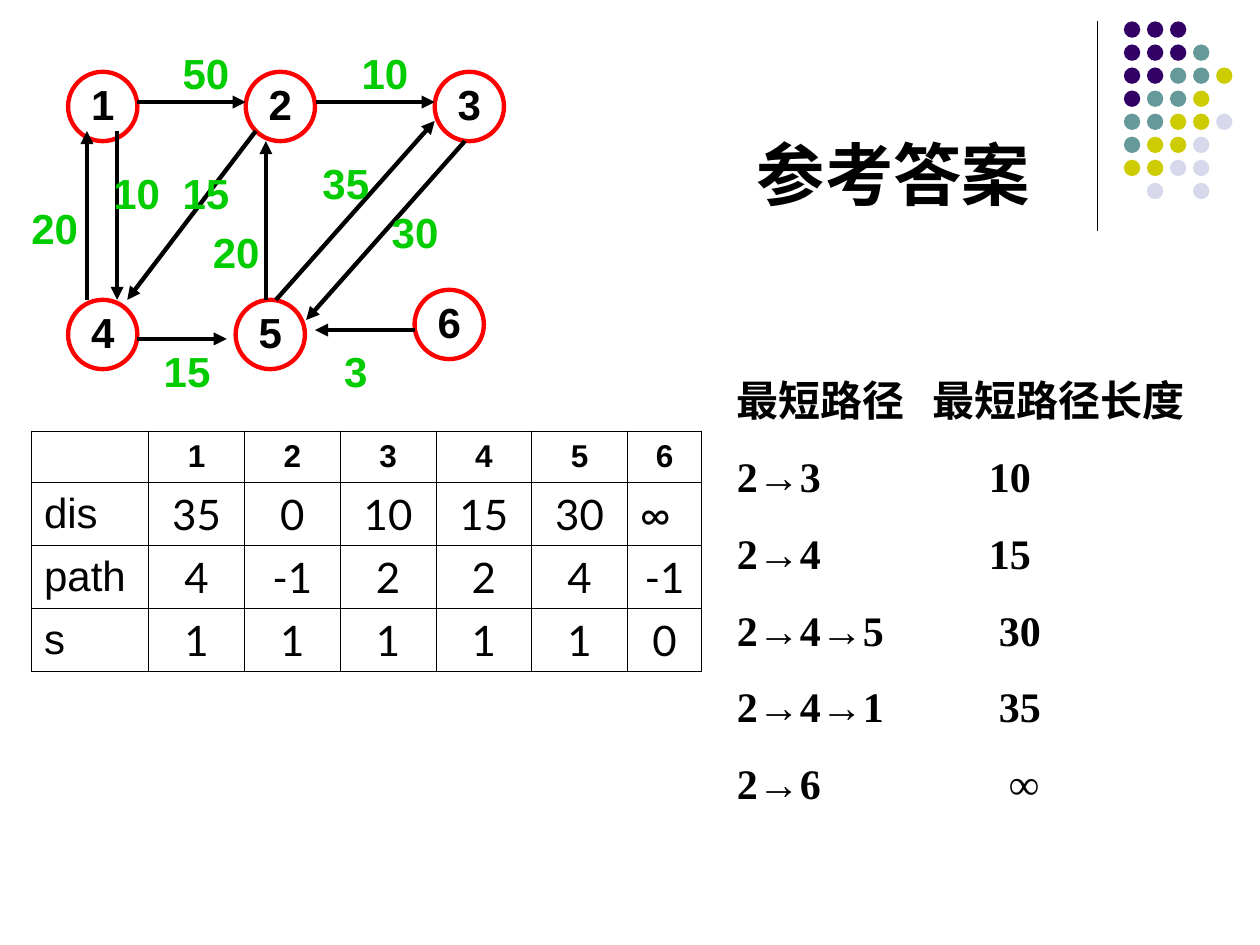
from lxml import etree
from pptx import Presentation
from pptx.dml.color import RGBColor
from pptx.enum.shapes import MSO_CONNECTOR, MSO_SHAPE
from pptx.enum.text import MSO_ANCHOR, MSO_AUTO_SIZE, PP_ALIGN
from pptx.oxml.ns import qn
from pptx.util import Inches, Pt

LEFT, CENTER = PP_ALIGN.LEFT, PP_ALIGN.CENTER
MIDDLE, BOTTOM = MSO_ANCHOR.MIDDLE, MSO_ANCHOR.BOTTOM
OVAL, STRAIGHT = MSO_SHAPE.OVAL, MSO_CONNECTOR.STRAIGHT
NO_FIT = MSO_AUTO_SIZE.NONE

COLORS = {"text": "000000", "node": "FF0000", "weight": "00CC00",
          "P": "330066", "T": "669999", "Y": "CCCC00", "L": "D8D8EC"}

DOTS = ["PPP", "PPPT", "PPTTY", "PTTY", "TTYYL", "TYYL", "YYLL", " L L"]
DOT_PITCH = 0.183

NODES = {"1": (0.54, 0.57), "2": (1.95, 0.57), "3": (3.45, 0.57),
         "4": (0.54, 2.38), "5": (1.87, 2.38), "6": (3.29, 2.3)}
NODE_SIZE = 0.55

# start x, y, end x, y, then weight with the left and top of its label
EDGES = [
    (0.93, 1.04, 0.93, 2.38, "10", 0.77, 1.28),
    (0.69, 2.38, 0.69, 1.04, "20", 0.12, 1.56),
    (1.09, 0.81, 1.95, 0.81, "50", 1.32, 0.33),
    (2.51, 0.81, 3.45, 0.81, "10", 2.74, 0.33),
    (2.03, 1.04, 1.01, 2.38, "15", 1.32, 1.28),
    (2.11, 2.38, 2.11, 1.12, "20", 1.56, 1.75),
    (1.09, 2.69, 1.8, 2.69, "15", 1.17, 2.69),
    (3.29, 2.62, 2.5, 2.62, "3", 2.51, 2.69),
    (2.19, 2.38, 3.45, 0.96, "35", 2.43, 1.2),
    (3.69, 1.12, 2.43, 2.54, "30", 2.98, 1.59),
]

TABLE = [["", "1", "2", "3", "4", "5", "6"],
         ["dis", "35", "0", "10", "15", "30", "∞"],
         ["path", "4", "-1", "2", "2", "4", "-1"],
         ["s", "1", "1", "1", "1", "1", "0"]]

# route, length, tab position of the length
ROUTES = [("最短路径", "最短路径长度", 1.55), ("2→3", "10", 2), ("2→4", "15", 2),
          ("2→4→5", "30", 2.08), ("2→4→1", "35", 2.08), ("2→6", "∞", 2.16)]


def rgb(name):
    return RGBColor.from_string(COLORS[name])


class SlideBuilder:
    font = "Arial"
    size = 24

    def __init__(self, slide):
        self.slide = slide

    def style(self, p, color="text", size=None, font=None, bold=True, align=CENTER):
        p.alignment = align
        p.font.name = font or self.font
        p.font.size = Pt(size or self.size)
        p.font.bold = bold
        p.font.color.rgb = rgb(color)

    def title(self, text, x, y, w, h):
        sp = self.slide.shapes.title
        sp.left, sp.top, sp.width, sp.height = map(Inches, (x, y, w, h))
        tf = sp.text_frame
        tf.text = text
        tf.auto_size = NO_FIT
        tf.vertical_anchor = BOTTOM
        tf.margin_left = tf.margin_right = tf.margin_top = tf.margin_bottom = 0
        self.style(tf.paragraphs[0], size=39)

    def oval(self, x, y, size):
        sp = self.slide.shapes.add_shape(
            OVAL, Inches(x), Inches(y), Inches(size), Inches(size))
        sp.shadow.inherit = False
        return sp

    def dot(self, x, y, color):
        sp = self.oval(x, y, 0.13)
        sp.fill.solid()
        sp.fill.fore_color.rgb = rgb(color)
        sp.line.fill.background()

    def node(self, text, x, y):
        sp = self.oval(x, y, NODE_SIZE)
        sp.fill.background()
        sp.line.color.rgb = rgb("node")
        sp.line.width = Pt(2.5)
        tf = sp.text_frame
        tf.margin_left = tf.margin_right = tf.margin_top = 0
        tf.margin_bottom = Inches(0.05)
        tf.vertical_anchor = MIDDLE
        tf.text = text
        self.style(tf.paragraphs[0])

    def line(self, x1, y1, x2, y2, width, arrow=False):
        cn = self.slide.shapes.add_connector(
            STRAIGHT, Inches(x1), Inches(y1), Inches(x2), Inches(y2))
        cn.line.color.rgb = rgb("text")
        cn.line.width = Pt(width)
        if arrow:
            etree.SubElement(cn.line._get_or_add_ln(), qn("a:tailEnd"), type="triangle")
        etree.SubElement(cn._element.spPr, qn("a:effectLst"))

    def textbox(self, x, y, w, h):
        tf = self.slide.shapes.add_textbox(
            Inches(x), Inches(y), Inches(w), Inches(h)).text_frame
        tf.word_wrap = True
        return tf

    def weight(self, text, x, y):
        tf = self.textbox(x, y, 0.63, 0.5)
        tf.text = text
        self.style(tf.paragraphs[0], "weight")

    def routes(self, rows, x, y, w, h):
        tf = self.textbox(x, y, w, h)
        for i, (route, length, tab) in enumerate(rows):
            p = tf.add_paragraph() if i else tf.paragraphs[0]
            p.text = f"{route}\t{length}"
            if i:
                p.space_before = Pt(15)
            tabs = etree.SubElement(p._p.get_or_add_pPr(), qn("a:tabLst"))
            etree.SubElement(tabs, qn("a:tab"), pos=str(Inches(tab)), algn="l")
            self.style(p, font="Times New Roman", align=LEFT)

    def border(self, cell):
        tcPr = cell._tc.get_or_add_tcPr()
        for i, side in enumerate(("lnL", "lnR", "lnT", "lnB")):
            ln = etree.Element(qn(f"a:{side}"), w=str(Pt(0.45)))
            fill = etree.SubElement(ln, qn("a:solidFill"))
            etree.SubElement(fill, qn("a:srgbClr"), val=COLORS["text"])
            tcPr.insert(i, ln)

    def table(self, rows, x, y, widths, heights):
        table = self.slide.shapes.add_table(
            len(rows), len(widths), Inches(x), Inches(y),
            Inches(sum(widths)), Inches(sum(heights))).table
        table.first_row = table.horz_banding = False
        for column, width in zip(table.columns, widths):
            column.width = Inches(width)
        for row, height in zip(table.rows, heights):
            row.height = Inches(height)
        for r, values in enumerate(rows):
            for c, value in enumerate(values):
                cell = table.cell(r, c)
                cell.text = value
                cell.vertical_anchor = MIDDLE
                cell.fill.background()
                self.border(cell)
                self.style(cell.text_frame.paragraphs[0],
                           size=24 if r else 18,
                           font="Lato" if r and c else None,
                           bold=r == 0,
                           align=LEFT if c == 0 or value == "∞" else CENTER)


def main():
    prs = Presentation()
    prs.slide_width, prs.slide_height = Inches(10), Inches(7.5)
    s = SlideBuilder(prs.slides.add_slide(prs.slide_layouts[5]))

    # Corner decoration
    s.line(8.71, 0.17, 8.71, 1.83, 0.75)
    for row, colors in enumerate(DOTS):
        for col, color in enumerate(colors):
            if color != " ":
                s.dot(8.92 + col * DOT_PITCH, 0.17 + row * DOT_PITCH, color)

    s.title("参考答案", 4.69, 0.13, 4.8, 1.57)

    # Weighted graph
    for name, (x, y) in NODES.items():
        s.node(name, x, y)
    for *ends, _, _, _ in EDGES:
        s.line(*ends, 2.5, arrow=True)
    for *_, weight, x, y in EDGES:
        s.weight(weight, x, y)

    # Shortest paths and the algorithm's arrays
    s.routes(ROUTES, 5.75, 2.92, 4.25, 3.54)
    s.table(TABLE, 0.25, 3.42, [0.93] + [0.76] * 5 + [0.59], [0.41] + [0.5] * 3)

    prs.save("out.pptx")


if __name__ == "__main__":
    main()
